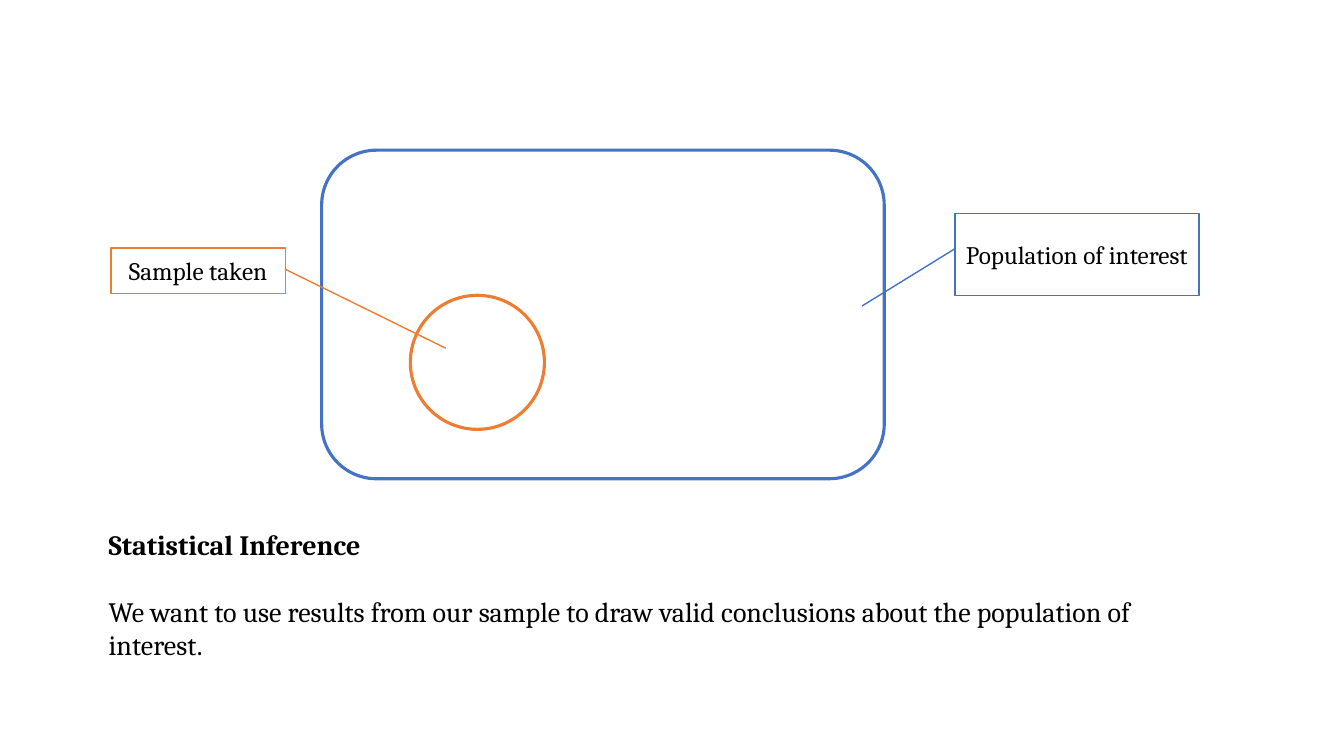
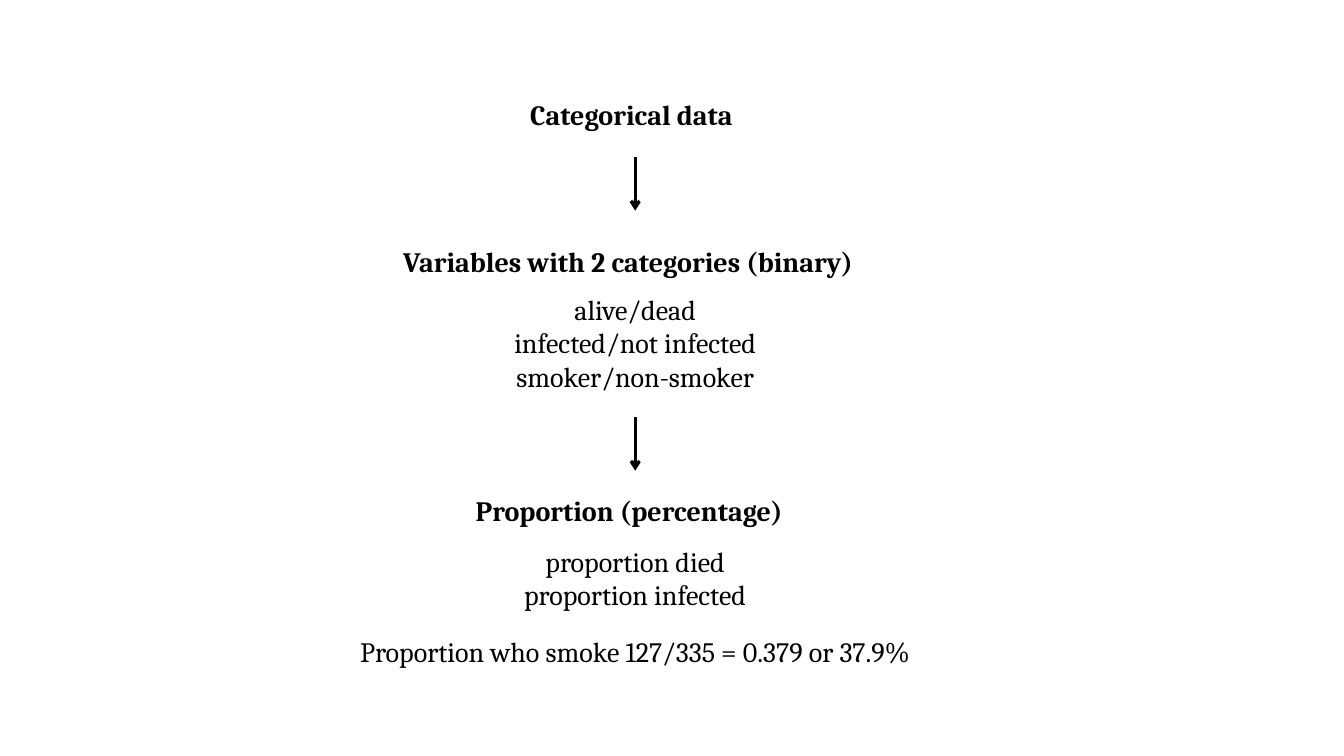
from lxml import etree
from pptx import Presentation, util as u
from pptx.dml.color import RGBColor
from pptx.enum import shapes, text
from pptx.oxml import ns

PX = 9144  # EMU: 100 px to the inch
BLANK_LAYOUT = 6


def px(*lengths):
    return [u.Emu(length * PX) for length in lengths]


def colour(hex_string):
    return RGBColor.from_string(hex_string)


class Deck:
    """Holds the presentation, its style and the slide being drawn."""

    FONT = "Cambria"
    INK = "000000"
    PAPER = "FFFFFF"
    POPULATION = "4472C4"
    SAMPLE = "ED7D31"
    BODY_SIZE = 20
    LABEL_SIZE = 18
    HEAVY = 2.25
    FINE = 1

    def __init__(self, width, height):
        self.presentation = Presentation()
        self.presentation.slide_width, self.presentation.slide_height = px(width, height)
        self.slide = None

    def add_slide(self):
        layout = self.presentation.slide_layouts[BLANK_LAYOUT]
        self.slide = self.presentation.slides.add_slide(layout)

    def set_text(self, frame, lines, size, bold=False, centred=False):
        frame.text = "\n".join(lines)
        for paragraph in frame.paragraphs:
            paragraph.alignment = text.PP_ALIGN.CENTER if centred else text.PP_ALIGN.LEFT
            for run in paragraph.runs:
                run.font.name = self.FONT
                run.font.size = u.Pt(size)
                run.font.bold = bold
                run.font.color.rgb = colour(self.INK)

    def outline(self, kind, box, line, weight=HEAVY):
        shape = self.slide.shapes.add_shape(kind, *px(*box))
        shape.shadow.inherit = False
        shape.line.color.rgb = colour(line)
        shape.line.width = u.Pt(weight)
        shape.fill.solid()
        shape.fill.fore_color.rgb = colour(self.PAPER)
        return shape

    def callout(self, label, box, line, pointer):
        """Boxed label; pointer is y, x, y, x as fractions of the box."""
        shape = self.outline(shapes.MSO_SHAPE.LINE_CALLOUT_1, box, line, self.FINE)
        shape.fill.background()
        for index, value in enumerate(pointer):
            shape.adjustments[index] = value
        shape.text_frame.vertical_anchor = text.MSO_ANCHOR.MIDDLE
        self.set_text(shape.text_frame, [label], self.LABEL_SIZE, centred=True)

    def text_box(self, lines, box, bold=False, centred=False, wrap=False):
        frame = self.slide.shapes.add_textbox(*px(*box)).text_frame
        frame.word_wrap = wrap
        frame.auto_size = text.MSO_AUTO_SIZE.SHAPE_TO_FIT_TEXT
        self.set_text(frame, lines, self.BODY_SIZE, bold, centred)
        return frame

    def down_arrow(self, x, top, length):
        arrow = self.slide.shapes.add_connector(
            shapes.MSO_CONNECTOR.STRAIGHT, *px(x, top, x, top + length))
        arrow.line.color.rgb = colour(self.INK)
        arrow.line.width = u.Pt(self.HEAVY)
        properties = arrow.element.spPr
        etree.SubElement(properties.find(ns.qn("a:ln")), ns.qn("a:tailEnd"), type="arrow")
        etree.SubElement(properties, ns.qn("a:effectLst"))


def draw_inference(deck):
    deck.add_slide()
    deck.outline(shapes.MSO_SHAPE.ROUNDED_RECTANGLE, (319, 149, 558, 326), deck.POPULATION)
    deck.outline(shapes.MSO_SHAPE.OVAL, (407, 293, 133, 133), deck.SAMPLE)
    deck.callout("Population of interest", (947, 212, 242, 81), deck.POPULATION,
                 (0.43, 0, 1.13, -0.38))
    deck.callout("Sample taken", (110, 246, 173, 45), deck.SAMPLE,
                 (0.47, 1, 2.21, 1.92))
    frame = deck.text_box(
        ["Statistical Inference",
         "We want to use results from our sample to draw valid conclusions "
         "about the population of interest."],
        (98, 518, 1130, 145), wrap=True)
    heading, statement = frame.paragraphs
    heading.runs[0].font.bold = True
    statement.space_before = u.Pt(24)


def draw_categorical_data(deck):
    deck.add_slide()
    headings = [
        ("Categorical data", (516, 92, 228, 44)),
        ("Variables with 2 categories (binary)", (390, 238, 481, 44)),
        ("Proportion (percentage)", (462, 485, 336, 44)),
    ]
    for heading, box in headings:
        deck.text_box([heading], box, bold=True)

    examples = [
        (["alive/dead", "infected/not infected", "smoker/non-smoker"], (494, 285, 272, 111)),
        (["proportion died", "proportion infected"], (503, 535, 254, 77)),
        (["Proportion who smoke 127/335 = 0.379 or 37.9%"], (320, 625, 620, 44)),
    ]
    for lines, box in examples:
        deck.text_box(lines, box, centred=True)

    for top in (156, 414):
        deck.down_arrow(630, top, 53)


def main():
    deck = Deck(1333, 750)
    draw_inference(deck)
    draw_categorical_data(deck)
    deck.presentation.save("out.pptx")


if __name__ == "__main__":
    main()
